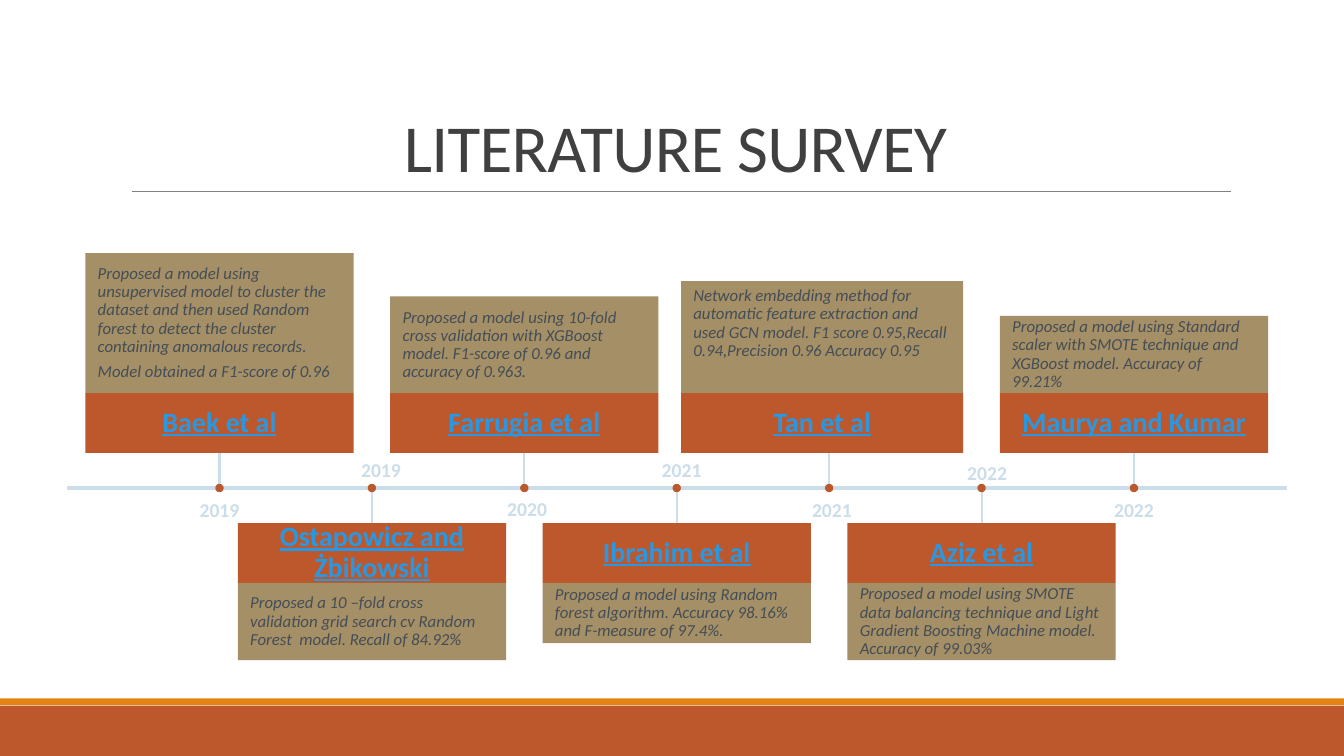
from dataclasses import dataclass

from lxml.etree import SubElement
from pptx import Presentation
from pptx.dml.color import RGBColor
from pptx.enum.shapes import MSO_CONNECTOR, MSO_SHAPE
from pptx.enum.text import MSO_ANCHOR, PP_ALIGN
from pptx.oxml.ns import qn
from pptx.util import Pt

TITLE = "LITERATURE SURVEY"


@dataclass
class Study:
    authors: str
    year: str
    findings: list
    body_height: float
    width: float = 191.6
    shift: float = 0            # card centre relative to its dot
    extra_bottom: float = 0     # added bottom inset of the findings
    year_nudge: tuple = (0, 0)


# Cards alternate above and below the axis, starting above.
STUDIES = [
    Study("Baek et al", "2019", [
        "Proposed a model using unsupervised model to cluster the dataset and then used "
        "Random forest to detect the cluster containing anomalous records.",
        "Model obtained a F1-score of 0.96"], 100),
    Study("Ostapowicz and Żbikowski", "2019", [
        "Proposed a 10 –fold cross validation grid search cv Random Forest  model. "
        "Recall of 84.92%"], 55.2, year_nudge=(6.5, 0)),
    Study("Farrugia et al", "2020", [
        "Proposed a model using 10-fold cross validation with XGBoost model. "
        "F1-score of 0.96 and accuracy of 0.963."], 69, year_nudge=(2, -1)),
    Study("Ibrahim et al", "2021", [
        "Proposed a model using Random forest algorithm. Accuracy 98.16% "
        "and F-measure of 97.4%."], 43, year_nudge=(3.5, 0)),
    Study("Tan et al", "2021", [
        "Network embedding method for automatic feature extraction and used GCN model. "
        "F1 score 0.95,Recall 0.94,Precision 0.96 Accuracy 0.95"], 80,
        width=201.6, shift=-5, extra_bottom=19.4, year_nudge=(2, 0)),
    Study("Aziz et al", "2022", [
        "Proposed a model using SMOTE data balancing technique and Light Gradient "
        "Boosting Machine model. Accuracy of 99.03%"], 55.2, year_nudge=(4, 2)),
    Study("Maurya and Kumar", "2022", [
        "Proposed a model using Standard scaler with SMOTE technique and XGBoost model. "
        "Accuracy of 99.21%"], 55.2),
]


@dataclass(frozen=True)
class Theme:
    font: str = "Calibri"
    rust: str = "BD582C"
    orange: str = "E48312"
    tan: str = "9B8357"
    pale_blue: str = "CCDDEA"
    link_blue: str = "2998E3"
    slate: str = "454D55"
    charcoal: str = "404040"
    grey: str = "808080"
    title_size: float = 48
    author_size: float = 20
    year_size: float = 14
    body_size: float = 12


THEME = Theme()
WIDTH, HEIGHT = 960, 540
AXIS_Y, AXIS_LEFT, AXIS_RIGHT = 348.6, 47.7, 919.4
FIRST_X, STEP = 156.8, 108.87
STEM, HEADER_HEIGHT, DOT = 25, 42.8, 6
YEAR_WIDTH, YEAR_HEIGHT = 50, 24.2


def add_block(page, left, top, width, height, color, kind=MSO_SHAPE.RECTANGLE):
    block = page.shapes.add_shape(kind, Pt(left), Pt(top), Pt(width), Pt(height))
    block.shadow.inherit = False
    block.fill.solid()
    block.fill.fore_color.rgb = RGBColor.from_string(color)
    block.line.fill.background()
    return block


def add_line(page, start, end, color, weight):
    line = page.shapes.add_connector(
        MSO_CONNECTOR.STRAIGHT, *(Pt(value) for value in (*start, *end)))
    line.line.color.rgb = RGBColor.from_string(color)
    line.line.width = Pt(weight)
    SubElement(line._element.spPr, qn("a:effectLst"))
    return line


def write(shape, paragraphs, size, color, align=PP_ALIGN.CENTER, anchor=MSO_ANCHOR.MIDDLE,
          spacing=1.0, after=0, inset=None, wrap=True, **style):
    """Fill a shape with paragraphs; style holds font flags such as bold or italic."""
    frame = shape.text_frame
    frame.word_wrap = wrap
    frame.vertical_anchor = anchor
    if inset is not None:
        frame.margin_left = frame.margin_right = Pt(inset)
        frame.margin_top = frame.margin_bottom = Pt(inset)
    for index, text in enumerate(paragraphs):
        para = frame.add_paragraph() if index else frame.paragraphs[0]
        para.alignment = align
        para.line_spacing = spacing
        para.space_after = Pt(after)
        span = para.add_run()
        span.text = text
        span.font.name = THEME.font
        span.font.size = Pt(size)
        span.font.color.rgb = RGBColor.from_string(color)
        for flag, value in style.items():
            setattr(span.font, flag, value)


def add_title(page):
    add_line(page, (94.3, 136.8), (879, 136.8), THEME.grey, 0.5)
    box = page.shapes.add_textbox(Pt(86.4), Pt(22.5), Pt(792), Pt(114.2))
    write(box, [TITLE], THEME.title_size, THEME.charcoal,
          anchor=MSO_ANCHOR.BOTTOM, spacing=0.85)
    span = box.text_frame.paragraphs[0].runs[0]
    span.font._element.set("spc", "-50")


def add_study(page, study, x, above):
    left = x + study.shift - study.width / 2
    if above:
        header_top = AXIS_Y - STEM - HEADER_HEIGHT
        body_top = header_top - study.body_height
        stem_y, site, year_top = AXIS_Y - STEM, 2, AXIS_Y + 3.6
    else:
        header_top = AXIS_Y + STEM
        body_top = header_top + HEADER_HEIGHT
        stem_y, site, year_top = header_top, 0, AXIS_Y - STEM

    header = add_block(page, left, header_top, study.width, HEADER_HEIGHT, THEME.rust)
    write(header, [study.authors], THEME.author_size, THEME.link_blue,
          spacing=0.9, after=7, inset=7.9, bold=True, underline=True)

    body = add_block(page, left, body_top, study.width, study.body_height, THEME.tan)
    fill_color = body._element.spPr.find(qn("a:solidFill"))[0]
    SubElement(fill_color, qn("a:alpha"), val="90000")
    write(body, study.findings, THEME.body_size, THEME.slate, align=PP_ALIGN.LEFT,
          spacing=0.9, after=5, inset=8.8, italic=True)
    body.text_frame.margin_bottom = Pt(8.8 + study.extra_bottom)

    stem = add_line(page, (x, stem_y), (x, AXIS_Y), THEME.pale_blue, 1.5)
    if not study.shift:
        stem.begin_connect(header, site)
    add_block(page, x - DOT / 2, AXIS_Y - DOT / 2, DOT, DOT, THEME.rust, MSO_SHAPE.OVAL)

    nudge_x, nudge_y = study.year_nudge
    label = page.shapes.add_textbox(Pt(x + nudge_x - YEAR_WIDTH / 2), Pt(year_top + nudge_y),
                                    Pt(YEAR_WIDTH), Pt(YEAR_HEIGHT))
    write(label, [study.year], THEME.year_size, THEME.pale_blue, wrap=False, bold=True)


def main():
    deck = Presentation()
    deck.slide_width, deck.slide_height = Pt(WIDTH), Pt(HEIGHT)
    page = deck.slides.add_slide(deck.slide_layouts[6])
    add_block(page, 0, 504, WIDTH, 36, THEME.rust)
    add_block(page, 0, 498.8, WIDTH, 5, THEME.orange)
    add_title(page)
    add_line(page, (AXIS_LEFT, AXIS_Y), (AXIS_RIGHT, AXIS_Y), THEME.pale_blue, 3)
    for index, study in enumerate(STUDIES):
        add_study(page, study, FIRST_X + index * STEP, above=index % 2 == 0)
    deck.save("out.pptx")


if __name__ == "__main__":
    main()
